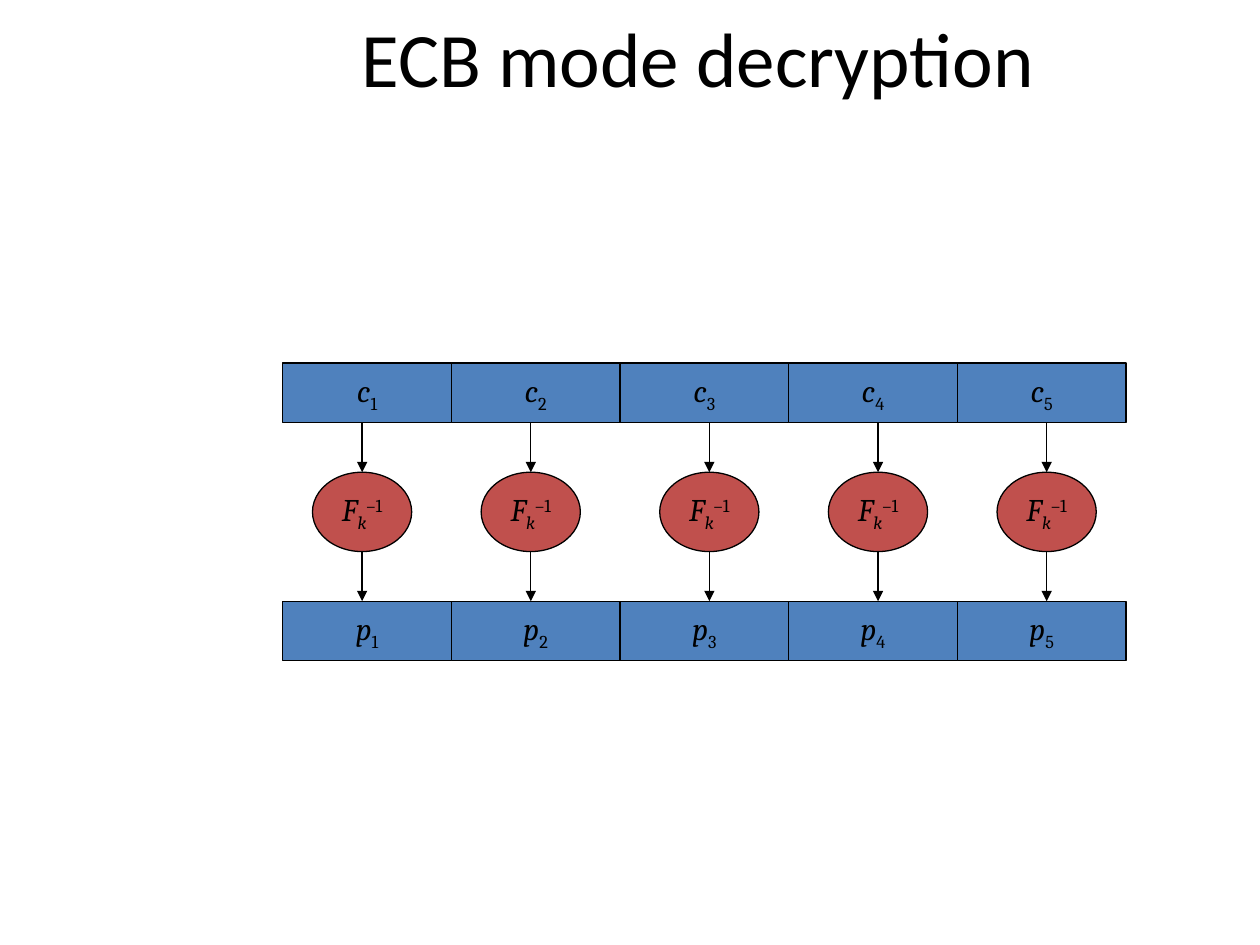
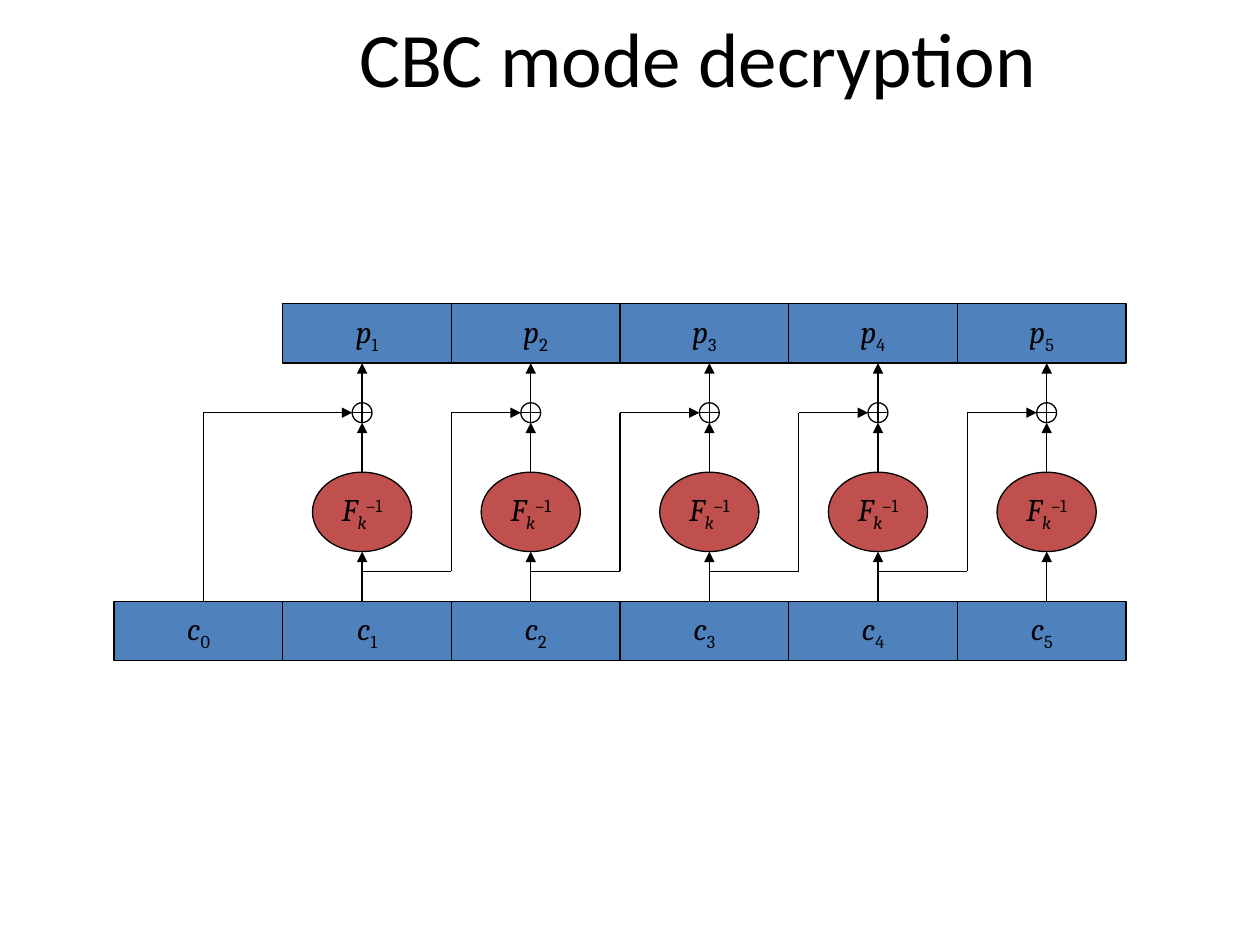
from dataclasses import dataclass

from lxml import etree
from pptx import Presentation
from pptx.dml.color import RGBColor
from pptx.enum.shapes import MSO_CONNECTOR, MSO_SHAPE
from pptx.enum.text import MSO_ANCHOR, PP_ALIGN
from pptx.oxml.ns import qn
from pptx.util import Inches, Pt

RECT, OVAL = MSO_SHAPE.RECTANGLE, MSO_SHAPE.OVAL
STRAIGHT = MSO_CONNECTOR.STRAIGHT
CENTER, MIDDLE = PP_ALIGN.CENTER, MSO_ANCHOR.MIDDLE

COLORS = {"ink": "000000", "block": "4F81BD", "cipher": "C0504D"}
TITLE_FONT, MATH_FONT = "Calibri", "Cambria"
LINE_WIDTH = Pt(0.75)
SLIDE_W, SLIDE_H = Inches(10), Inches(7.5)
TITLE_ONLY = 5
TOP_SITE = 0
SUB, SUPER = -25000, 30000

UNIT = SLIDE_W / 127
BLOCK_W, BLOCK_H = 17, 6
CIPHER_W, CIPHER_H = 10, 8
XOR_R = 1
LANES = {1: 25, 2: 42, 3: 60, 4: 77, 5: 94}
UPPER_ROW, XOR_ROW, ECB_ROW, CIPHER_ROW, TAP_ROW, LOWER_ROW = 0, 11, 6, 17, 27, 30
CIPHER_END = CIPHER_ROW + CIPHER_H
CHAIN_OFFSET = 9


@dataclass
class Board:
    """Diagram area whose corner and lengths are counted in grid units."""
    shapes: object
    left: float = 11.5
    top: float = 30.6

    def x(self, column):
        """Return the slide position of a column."""
        return round((self.left + column) * UNIT)

    def y(self, row):
        """Return the slide position of a row."""
        return round((self.top + row) * UNIT)

    def group(self):
        """Return a board with the same grid inside a new group."""
        return Board(self.shapes.add_group_shape().shapes, self.left, self.top)


def rgb(name):
    """Return a palette colour."""
    return RGBColor.from_string(COLORS[name])


def add_title(slide, text):
    """Place and format the slide title."""
    title = slide.shapes.title
    title.left, title.top = round(SLIDE_W * 0.108), 0
    title.width, title.height = round(SLIDE_W * 0.892), round(SLIDE_H * 0.12)
    title.text_frame.text = text
    title.text_frame.vertical_anchor = MIDDLE
    heading = title.text_frame.paragraphs[0]
    heading.alignment = CENTER
    heading.font.name, heading.font.size = TITLE_FONT, Pt(44)
    heading.font.color.rgb = rgb("ink")


def add_outline(board, kind, column, row, width, height, fill=None):
    """Add a thinly outlined shape, hollow when it has no fill."""
    outline = board.shapes.add_shape(
        kind, board.x(column), board.y(row), round(width * UNIT), round(height * UNIT))
    outline.shadow.inherit = False
    if fill:
        outline.fill.solid()
        outline.fill.fore_color.rgb = rgb(fill)
    else:
        outline.fill.background()
    outline.line.color.rgb = rgb("ink")
    outline.line.width = LINE_WIDTH
    return outline


def write_formula(shape, parts):
    """Write (text, italic, baseline) parts into the middle of a shape."""
    frame = shape.text_frame
    frame.word_wrap = False
    frame.vertical_anchor = MIDDLE
    formula = frame.paragraphs[0]
    formula.alignment = CENTER
    for text, italic, baseline in parts:
        run = formula.add_run()
        run.text = text
        run.font.name, run.font.size, run.font.italic = MATH_FONT, Pt(18), italic
        run.font.color.rgb = rgb("ink")
        if baseline:
            run._r.get_or_add_rPr().set("baseline", str(baseline))


def add_line(board, start, end, arrow=False, from_top=None, to_top=None):
    """Draw a line between grid points, joined to the tops of given shapes."""
    line = board.shapes.add_connector(
        STRAIGHT, board.x(start[0]), board.y(start[1]), board.x(end[0]), board.y(end[1]))
    if from_top is not None:
        line.begin_connect(from_top, TOP_SITE)
    if to_top is not None:
        line.end_connect(to_top, TOP_SITE)
    line.line.color.rgb = rgb("ink")
    line.line.width = LINE_WIDTH
    if arrow:
        etree.SubElement(line.line._get_or_add_ln(), qn("a:tailEnd"), type="triangle")
    etree.SubElement(line._element.spPr, qn("a:effectLst"))


def add_blocks(board, letter, indices, row):
    """Draw a row of numbered message blocks."""
    for index in indices:
        block = add_outline(board, RECT, index * BLOCK_W, row, BLOCK_W, BLOCK_H, "block")
        write_formula(block, [(letter, True, 0), (str(index), False, SUB)])


def add_cipher(board, lane):
    """Draw the inverse block cipher of a lane."""
    cipher = add_outline(board, OVAL, lane - CIPHER_W / 2, CIPHER_ROW,
                         CIPHER_W, CIPHER_H, "cipher")
    write_formula(cipher, [("F", True, 0), ("k", True, SUB), ("–1", False, SUPER)])
    return cipher


def add_xor(board, lane):
    """Draw the grouped circle and cross of an XOR."""
    symbol = board.group()
    circle = add_outline(symbol, OVAL, lane - XOR_R, XOR_ROW - XOR_R, 2 * XOR_R, 2 * XOR_R)
    add_line(symbol, (lane - XOR_R, XOR_ROW), (lane + XOR_R, XOR_ROW))
    add_line(symbol, (lane, XOR_ROW - XOR_R), (lane, XOR_ROW + XOR_R))
    return circle


def add_chain(board, points):
    """Draw a stepped path through the points with an arrow on its last leg."""
    legs = list(zip(points, points[1:]))
    for start, end in legs:
        add_line(board, start, end, arrow=(start, end) == legs[-1])


def draw_ecb(board):
    """Draw each ciphertext block decrypted on its own."""
    add_blocks(board, "c", LANES, ECB_ROW)
    add_blocks(board, "p", LANES, LOWER_ROW)
    for lane in LANES.values():
        cipher = add_cipher(board, lane)
        add_line(board, (lane, ECB_ROW + BLOCK_H), (lane, CIPHER_ROW), True, to_top=cipher)
        add_line(board, (lane, CIPHER_END), (lane, LOWER_ROW), True)


def draw_cbc(board):
    """Draw decrypted blocks combined with the preceding ciphertext block."""
    add_blocks(board, "p", LANES, UPPER_ROW)
    add_blocks(board, "c", [0, *LANES], LOWER_ROW)
    feed = [(CHAIN_OFFSET, LOWER_ROW)]
    for lane in LANES.values():
        cipher = add_cipher(board, lane)
        xor = add_xor(board, lane)
        add_line(board, (lane, LOWER_ROW), (lane, CIPHER_END), True)
        add_line(board, (lane, CIPHER_ROW), (lane, XOR_ROW + XOR_R), True, from_top=cipher)
        add_line(board, (lane, XOR_ROW - XOR_R), (lane, UPPER_ROW + BLOCK_H), True,
                 from_top=xor)
        add_chain(board, [*feed, (feed[-1][0], XOR_ROW), (lane - XOR_R, XOR_ROW)])
        feed = [(lane, TAP_ROW), (lane + CHAIN_OFFSET, TAP_ROW)]


def main():
    """Build both decryption slides."""
    deck = Presentation()
    deck.slide_width, deck.slide_height = SLIDE_W, SLIDE_H
    for title, draw in (("ECB mode decryption", draw_ecb), ("CBC mode decryption", draw_cbc)):
        slide = deck.slides.add_slide(deck.slide_layouts[TITLE_ONLY])
        add_title(slide, title)
        draw(Board(slide.shapes))
    deck.save("out.pptx")


if __name__ == "__main__":
    main()
